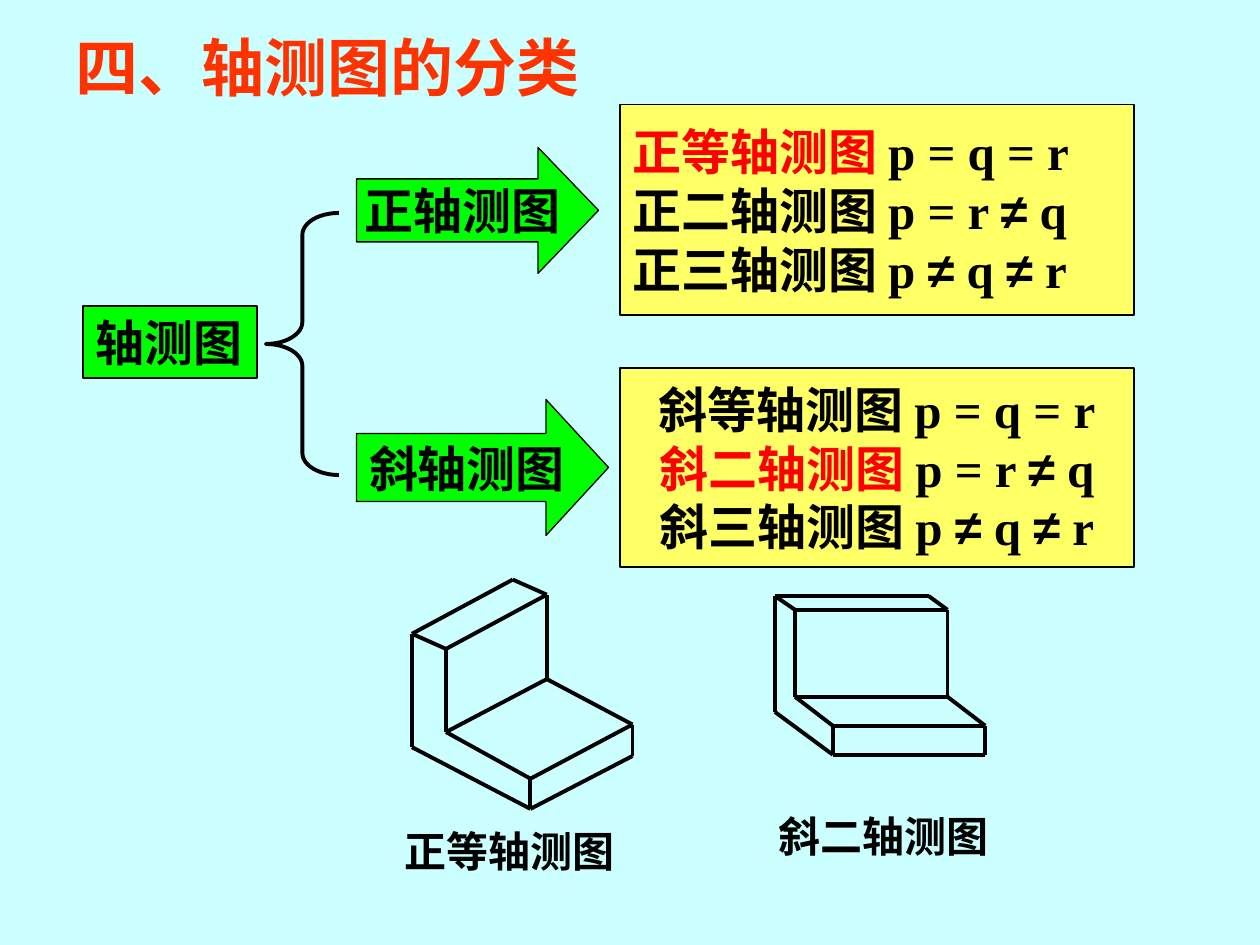
import dataclasses

import pptx
import pptx.dml.color
import pptx.enum.shapes
import pptx.enum.text
import pptx.oxml.ns
import pptx.util
from lxml import etree

Inches = pptx.util.Inches
Pt = pptx.util.Pt
Shape = pptx.enum.shapes.MSO_SHAPE
Align = pptx.enum.text.PP_ALIGN
Anchor = pptx.enum.text.MSO_ANCHOR
AutoSize = pptx.enum.text.MSO_AUTO_SIZE


@dataclasses.dataclass(frozen=True)
class Theme:
    """Colours, fonts and sizes of the slide."""
    background: str = "CCFFFF"
    title: str = "FF3300"
    ink: str = "000000"
    accent: str = "FF0000"
    green: str = "00FF00"
    yellow: str = "FFFF66"
    chinese: str = "Noto Sans CJK SC"
    latin: str = "Times New Roman"
    symbol: str = "Arial"
    title_size: int = 36
    body_size: int = 28
    caption_size: int = 24
    border: float = 0.75
    stroke: float = 2.25


THEME = Theme()

FORMULAS = ("p = q = r", "p = r ≠ q", "p ≠ q ≠ r")

ISOMETRIC_POINTS = dict(
    back_top=(4.07, 4.6), left_top=(3.27, 5.03), inner_top=(3.54, 5.15),
    right_top=(4.34, 4.72), left_base=(3.27, 5.93), inner_base=(3.54, 5.81),
    front_base=(4.21, 6.42), front_top=(4.21, 6.18), end_top=(5.02, 5.75),
    end_base=(5.02, 6), corner=(4.34, 5.39))
OBLIQUE_POINTS = dict(
    left_top=(6.15, 4.73), back_top=(7.37, 4.73), inner_top=(6.31, 4.84),
    right_top=(7.52, 4.84), left_base=(6.15, 5.65), inner_base=(6.31, 5.53),
    corner=(7.52, 5.53), front_top=(6.61, 5.76), end_top=(7.82, 5.76),
    front_base=(6.61, 5.99), end_base=(7.82, 5.99))
EDGE_CHAINS = (
    "back_top left_top inner_top right_top back_top",
    "left_top left_base front_base front_top inner_base inner_top",
    "front_top end_top end_base front_base",
    "end_top corner right_top",
    "inner_base corner")


def colour(value):
    """Return the colour object for a hex string."""
    return pptx.dml.color.RGBColor.from_string(value)


def place(left, top, width, height):
    """Return a frame given in inches as lengths."""
    return [Inches(value) for value in (left, top, width, height)]


def write_text(para, text, *, size, font=THEME.latin, ink=THEME.ink):
    """Add one bold span of text to a paragraph."""
    span = para.add_run()
    span.text = text
    span.font.name = font
    span.font.size = Pt(size)
    span.font.bold = True
    span.font.color.rgb = colour(ink)
    east_asian = etree.SubElement(span.font._element, pptx.oxml.ns.qn("a:ea"))
    east_asian.set("typeface", THEME.chinese)


def set_frame(box, anchor=Anchor.TOP, grow=False):
    """Prepare an unwrapped text frame and return it."""
    frame = box.text_frame
    frame.word_wrap = False
    frame.auto_size = AutoSize.SHAPE_TO_FIT_TEXT if grow else AutoSize.NONE
    frame.vertical_anchor = anchor
    return frame


def add_label(shapes, text, frame, **style):
    """Add a text box holding one line."""
    box = shapes.add_textbox(*place(*frame))
    para = set_frame(box, grow=True).paragraphs[0]
    write_text(para, text, **style)


def add_panel(page, kind, frame, fill):
    """Add a filled shape with a thin outline."""
    box = page.shapes.add_shape(kind, *place(*frame))
    box.shadow.inherit = False
    box.fill.solid()
    box.fill.fore_color.rgb = colour(fill)
    box.line.color.rgb = colour(THEME.ink)
    box.line.width = Pt(THEME.border)
    return box


def add_root(page, text, frame):
    """Add the root box of the classification."""
    box = add_panel(page, Shape.RECTANGLE, frame, THEME.green)
    para = set_frame(box, grow=True).paragraphs[0]
    para.alignment = Align.LEFT
    write_text(para, text, size=THEME.body_size)


def add_branch(page, text, frame, head):
    """Add a block arrow naming one branch."""
    box = add_panel(page, Shape.RIGHT_ARROW, frame, THEME.green)
    box.adjustments[1] = head
    para = set_frame(box, Anchor.MIDDLE).paragraphs[0]
    para.alignment = Align.CENTER
    write_text(para, text, size=THEME.body_size)


def add_kinds(page, names, frame, highlight, alignment):
    """Add a panel pairing each kind with its formula."""
    box = add_panel(page, Shape.RECTANGLE, frame, THEME.yellow)
    body = set_frame(box, Anchor.MIDDLE)
    size = THEME.body_size
    for row, (name, formula) in enumerate(zip(names, FORMULAS)):
        para = body.add_paragraph() if row else body.paragraphs[0]
        para.alignment = alignment
        ink = THEME.accent if name == highlight else THEME.ink
        write_text(para, name + " ", size=size, font=THEME.chinese, ink=ink)
        for index, part in enumerate(formula.split("≠")):
            if index:
                write_text(para, "≠", size=size, font=THEME.symbol)
            write_text(para, part, size=size)


def add_brace(page, frame):
    """Add the brace joining the root to its branches."""
    brace = page.shapes.add_shape(Shape.LEFT_BRACE, *place(*frame))
    brace.shadow.inherit = False
    brace.adjustments[0] = 0.3
    brace.fill.background()
    brace.line.color.rgb = colour(THEME.ink)
    brace.line.width = Pt(THEME.stroke)


def add_edge(shapes, start, end):
    """Add one straight edge between two points."""
    edge = shapes.add_connector(
        pptx.enum.shapes.MSO_CONNECTOR.STRAIGHT,
        *[Inches(value) for value in (*start, *end)])
    edge.line.color.rgb = colour(THEME.ink)
    edge.line.width = Pt(THEME.stroke)
    etree.SubElement(edge._element.spPr, pptx.oxml.ns.qn("a:effectLst"))


def add_solid(page, points, caption, frame):
    """Add a grouped line drawing with its caption."""
    shapes = page.shapes.add_group_shape().shapes
    for chain in EDGE_CHAINS:
        names = chain.split()
        for start, end in zip(names, names[1:]):
            add_edge(shapes, points[start], points[end])
    add_label(shapes, caption, frame, size=THEME.caption_size)


def main():
    """Build the slide and save it."""
    deck = pptx.Presentation()
    deck.slide_width, deck.slide_height = Inches(10), Inches(7.5)
    page = deck.slides.add_slide(deck.slide_layouts[6])
    page.background.fill.solid()
    page.background.fill.fore_color.rgb = colour(THEME.background)

    add_label(page.shapes, "四、轴测图的分类", (0.5, 0.18, 4.22, 0.7),
              size=THEME.title_size, font=THEME.chinese, ink=THEME.title)
    add_root(page, "轴测图", (0.66, 2.43, 1.38, 0.57))
    add_brace(page, (2.11, 1.69, 0.58, 2.08))
    add_branch(page, "正轴测图", (2.83, 1.17, 1.92, 1), 0.48)
    add_kinds(page, ("正等轴测图", "正二轴测图", "正三轴测图"),
              (4.92, 0.83, 4.08, 1.67), "正等轴测图", Align.LEFT)
    add_branch(page, "斜轴测图", (2.83, 3.17, 2, 1.08), 0.46)
    add_kinds(page, ("斜等轴测图", "斜二轴测图", "斜三轴测图"),
              (4.92, 2.92, 4.08, 1.58), "斜二轴测图", Align.CENTER)
    add_solid(page, ISOMETRIC_POINTS, "正等轴测图", (3.11, 6.5, 1.88, 0.5))
    add_solid(page, OBLIQUE_POINTS, "斜二轴测图", (6.08, 6.38, 1.88, 0.5))
    deck.save("out.pptx")


if __name__ == "__main__":
    main()
